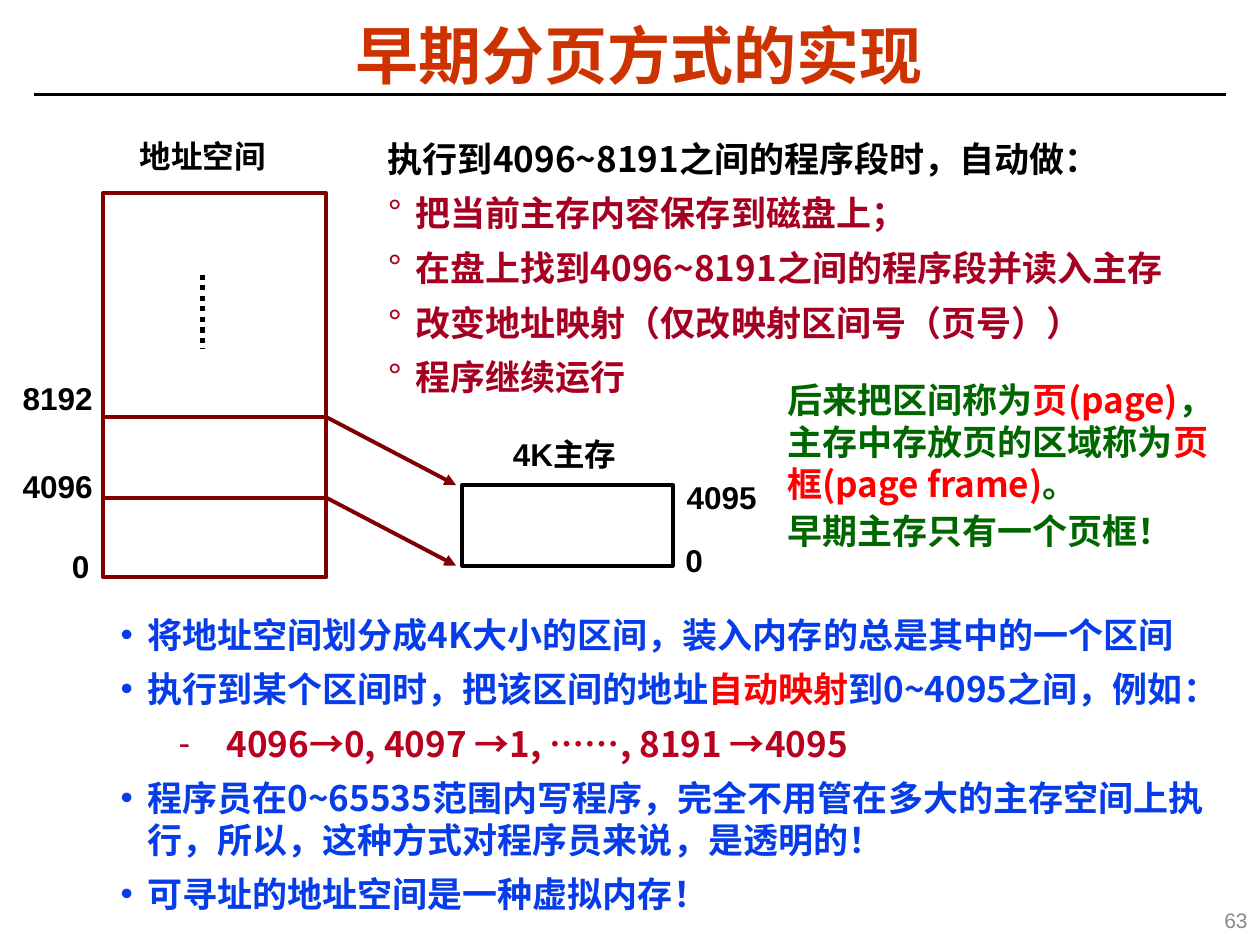
"""Build the slide on early paging, on a grid of 100 columns by 75 rows."""
from dataclasses import dataclass
from typing import Optional

from lxml import etree
from pptx import Presentation
from pptx import util as u
from pptx.dml import color
from pptx.enum import dml, shapes, text
from pptx.oxml import ns

HUES = {
    "black": "000000", "white": "FFFFFF", "title": "CC3300", "maroon": "800000",
    "wine": "A50021", "crimson": "B7011F", "blue": "063DE8", "red": "FF0000",
    "green": "006600", "gray": "898989",
}
SANS, HAN = "Arial", "Noto Sans CJK SC"
LEAD = 1.2
FLAT = {"margin_left": 0, "margin_top": 0, "margin_right": 0, "margin_bottom": 0}
MID = {"vertical_anchor": text.MSO_ANCHOR.MIDDLE}

deck = Presentation()
deck.slide_width, deck.slide_height = u.Inches(10), u.Inches(7.5)
slide = deck.slides.add_slide(deck.slide_layouts[6])
COL, ROW = deck.slide_width / 100, deck.slide_height / 75


@dataclass
class Box:
    col: float
    row: float
    wide: float
    high: float

    def emu(self) -> list[int]:
        return [round(self.col * COL), round(self.row * ROW),
                round(self.wide * COL), round(self.high * ROW)]


@dataclass
class Para:
    runs: list[tuple[str, str]]
    mark: str = ""
    left: float = 0
    hang: float = 0


@dataclass
class Style:
    size: float = 20
    name: str = HAN
    bold: bool = True
    lead: float = LEAD
    gap: float = 0
    align: text.PP_ALIGN = text.PP_ALIGN.LEFT


@dataclass
class Line:
    start: tuple[float, float]
    end: tuple[float, float]
    hue: str = "maroon"
    width: float = 2.25
    arrow: bool = False
    dash: Optional[dml.MSO_LINE] = None


def rgb(hue: str) -> color.RGBColor:
    return color.RGBColor.from_string(HUES[hue])


def put(obj: object, form: dict) -> None:
    for key, val in form.items():
        setattr(obj, key, val)


def write(box: Box, paras: list[Para], style: Style, frame: dict) -> None:
    body = slide.shapes.add_textbox(*box.emu()).text_frame
    put(body, {"word_wrap": True, **frame})
    for num, para in enumerate(paras):
        line = body.add_paragraph() if num else body.paragraphs[0]
        put(line, {"alignment": style.align,
                   "line_spacing": u.Pt(style.size * style.lead),
                   "space_before": u.Pt(style.gap * style.size if num else 0)})
        prop = line._p.get_or_add_pPr()
        prop.set("marL", str(round(para.left * COL)))
        prop.set("indent", str(round(-para.hang * COL)))
        if para.mark:
            etree.SubElement(prop, ns.qn("a:buFont")).set("typeface", SANS)
            etree.SubElement(prop, ns.qn("a:buChar")).set("char", para.mark)
        for words, hue in para.runs:
            run = line.add_run()
            run.text = words
            put(run.font, {"size": u.Pt(style.size), "name": style.name, "bold": style.bold})
            run.font.color.rgb = rgb(hue)
            etree.SubElement(run._r.get_or_add_rPr(), ns.qn("a:ea")).set("typeface", HAN)


def frame(box: Box, hue: str) -> None:
    rect = slide.shapes.add_shape(shapes.MSO_SHAPE.RECTANGLE, *box.emu())
    rect.shadow.inherit = False
    rect.fill.solid()
    rect.fill.fore_color.rgb = rgb("white")
    rect.line.color.rgb = rgb(hue)
    rect.line.width = u.Pt(2.25)


def draw(line: Line) -> None:
    ends = [round(val * unit) for spot in (line.start, line.end)
            for val, unit in zip(spot, (COL, ROW))]
    link = slide.shapes.add_connector(shapes.MSO_CONNECTOR.STRAIGHT, *ends)
    link.line.color.rgb = rgb(line.hue)
    link.line.width = u.Pt(line.width)
    if line.dash:
        link.line.dash_style = line.dash
    prop = link._element.spPr
    if line.arrow:
        etree.SubElement(prop.find(ns.qn("a:ln")), ns.qn("a:tailEnd")).set("type", "triangle")
    etree.SubElement(prop, ns.qn("a:effectLst"))


def main() -> None:
    space = Box(8.2, 15.3, 17.7, 30.5)
    store = Box(36.7, 38.5, 16.7, 6.4)
    edge = space.col + space.wide
    cuts = {33.1: store.row, 39.5: store.row + store.high}

    draw(Line((2.7, 7.5), (97.3, 7.5), "black", 1.5))
    write(Box(2.6, 1.8, 96.3, 5.8), [Para([("早期分页方式的实现", "title")])],
          Style(36, SANS, lead=1.05, align=text.PP_ALIGN.CENTER), MID)

    blue = {"mark": "•", "left": 7.5, "hang": 2.1}
    write(Box(3.2, 48.2, 93.6, 25.8), [
        Para([("将地址空间划分成4K大小的区间，装入内存的总是其中的一个区间", "blue")], **blue),
        Para([("执行到某个区间时，把该区间的地址", "blue"), ("自动映射", "red"),
              ("到0~4095之间，例如：", "blue")], **blue),
        Para([("4096→0, 4097 →1, ……, 8191 →4095", "crimson")], "-", 13.8, 3.8),
        Para([("程序员在0~65535范围内写程序，完全不用管在多大的主存空间上执行，"
               "所以，这种方式对程序员来说，是透明的！", "blue")], **blue),
        Para([("可寻址的地址空间是一种虚拟内存！", "blue")], **blue),
    ], Style(gap=0.35), {})

    frame(space, "maroon")
    frame(store, "black")
    for row, goal in cuts.items():
        draw(Line((space.col, row), (edge, row)))
        draw(Line((edge, row), (36.2, goal), arrow=True))
    draw(Line((16.1, 21.8), (16.1, 27.7), "black", 3, dash=dml.MSO_LINE.ROUND_DOT))

    for words, col, row, wide in (
        ("地址空间", 11.1, 10.9, 20.7), ("4K主存", 40.7, 34.5, 11.3),
        ("0", 54.4, 42.9, 4.4), ("4095", 54.5, 37.9, 7.4),
        ("0", 5.7, 43.4, 4.4), ("4096", 1.8, 37.1, 5.9), ("8192", 1.8, 30.1, 7.4),
    ):
        write(Box(col, row, wide, 3), [Para([(words, "black")])], Style(18, SANS), FLAT)

    steps = ["把当前主存内容保存到磁盘上；", "在盘上找到4096~8191之间的程序段并读入主存",
             "改变地址映射（仅改映射区间号（页号））", "程序继续运行"]
    write(Box(29.8, 9.4, 66.4, 28.1), [
        Para([("执行到4096~8191之间的程序段时，自动做：", "black")], "", 2.2, 2.2),
        *(Para([(step, "wine")], "°", 2.2, 2.2) for step in steps),
    ], Style(lead=LEAD * 1.3), {})

    write(Box(62.5, 30, 35.4, 13.8), [
        Para([("后来把区间称为", "green"), ("页(page)", "red"),
              ("，主存中存放页的区域称为", "green"), ("页框(page frame)", "red"),
              ("。", "green")]),
        Para([("早期主存只有一个页框！", "green")]),
    ], Style(gap=0.15), FLAT)

    write(Box(77.5, 71, 22.5, 4), [Para([("63", "gray")])],
          Style(12, SANS, False, align=text.PP_ALIGN.RIGHT), MID)
    deck.save("out.pptx")


if __name__ == "__main__":
    main()
